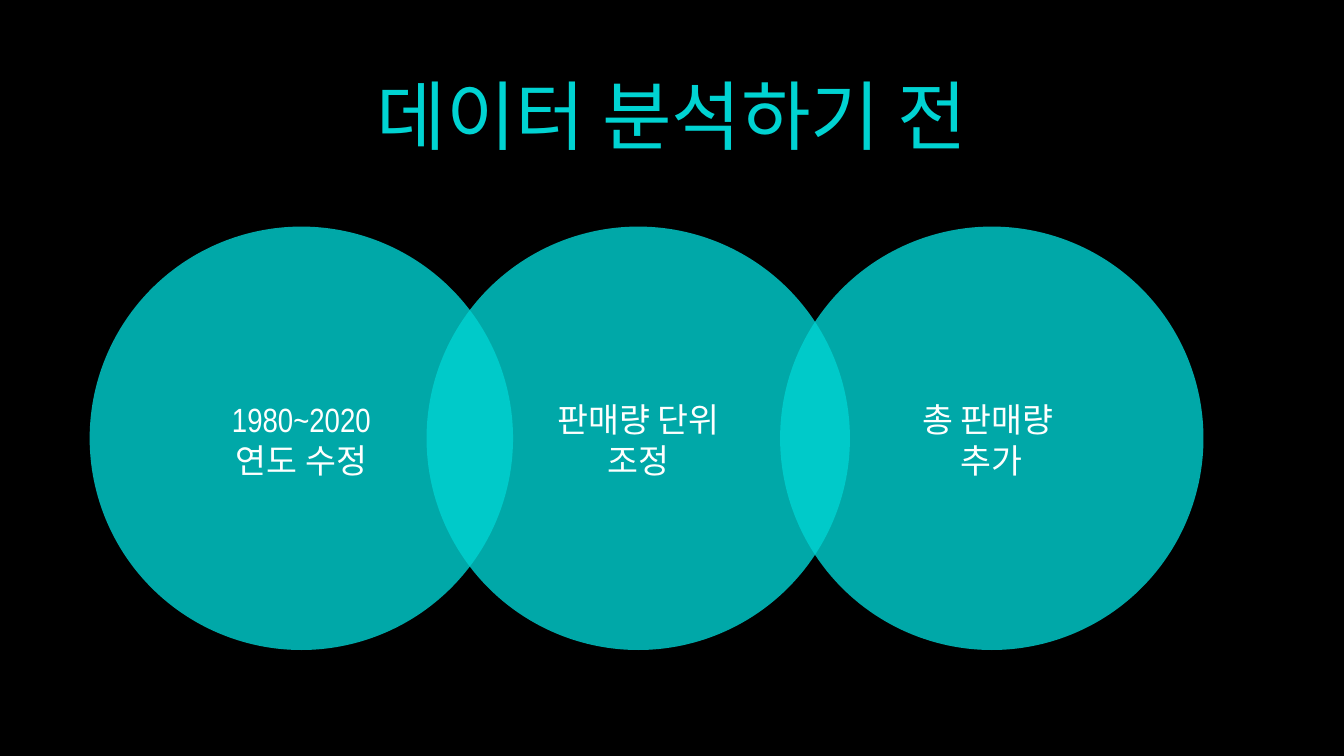
from lxml.etree import SubElement
from pptx import Presentation
from pptx.dml.color import RGBColor
from pptx.enum.shapes import MSO_SHAPE as Shape
from pptx.enum.text import MSO_ANCHOR as Anchor, MSO_AUTO_SIZE as Fit, PP_ALIGN as Align
from pptx.oxml.ns import qn
from pptx.util import Cm, Pt

# Content: left edge of each circle in cm, then its lines
TITLE = "데이터 분석하기 전"
STEPS = [
    (2.26, ["1980~2020", "연도 수정"]),
    (10.75, ["판매량 단위", "조정"]),
    (19.66, ["총 판매량 ", "추가"]),
]

FONT = "Arial Narrow"
BLACK = RGBColor(0x00, 0x00, 0x00)
TEAL = RGBColor(0x00, 0xD3, 0xD2)
WHITE = RGBColor(0xFE, 0xFF, 0xFE)
TOP, SIZE = Cm(5.71), Cm(10.67)
ALPHA = 80  # percent


def add_run(para, text, size, color):
    para.alignment = Align.CENTER
    run = para.add_run()
    run.text = text
    run.font.name = FONT
    run.font.size = Pt(size)
    run.font.color.rgb = color


def add_step(slide, left, lines):
    disc = slide.shapes.add_shape(Shape.OVAL, Cm(left), TOP, SIZE, SIZE)
    disc.shadow.inherit = False
    disc.line.fill.background()
    disc.fill.solid()
    disc.fill.fore_color.rgb = TEAL
    tint = disc.fill._xPr.find(".//" + qn("a:srgbClr"))
    SubElement(tint, qn("a:alpha"), val=str(ALPHA * 1000))

    frame = disc.text_frame
    frame.word_wrap = True
    frame.vertical_anchor = Anchor.TOP
    frame.margin_top = Cm(2.79)
    for i, line in enumerate(lines):
        para = frame.add_paragraph() if i else frame.paragraphs[0]
        add_run(para, line, 24, WHITE)


def main():
    deck = Presentation()
    deck.slide_width, deck.slide_height = Cm(33.87), Cm(19.05)
    slide = deck.slides.add_slide(deck.slide_layouts[5])
    slide.background.fill.solid()
    slide.background.fill.fore_color.rgb = BLACK

    # Title
    title = slide.shapes.title
    title.left, title.top = Cm(1.04), Cm(1.37)
    title.width, title.height = Cm(31.78), Cm(3.33)
    frame = title.text_frame
    frame.auto_size = Fit.NONE
    frame.vertical_anchor = Anchor.MIDDLE
    para = frame.paragraphs[0]
    para.line_spacing = 0.9
    add_run(para, TITLE, 54, TEAL)

    # Overlapping circles
    for left, lines in STEPS:
        add_step(slide, left, lines)

    deck.save("out.pptx")


if __name__ == "__main__":
    main()
